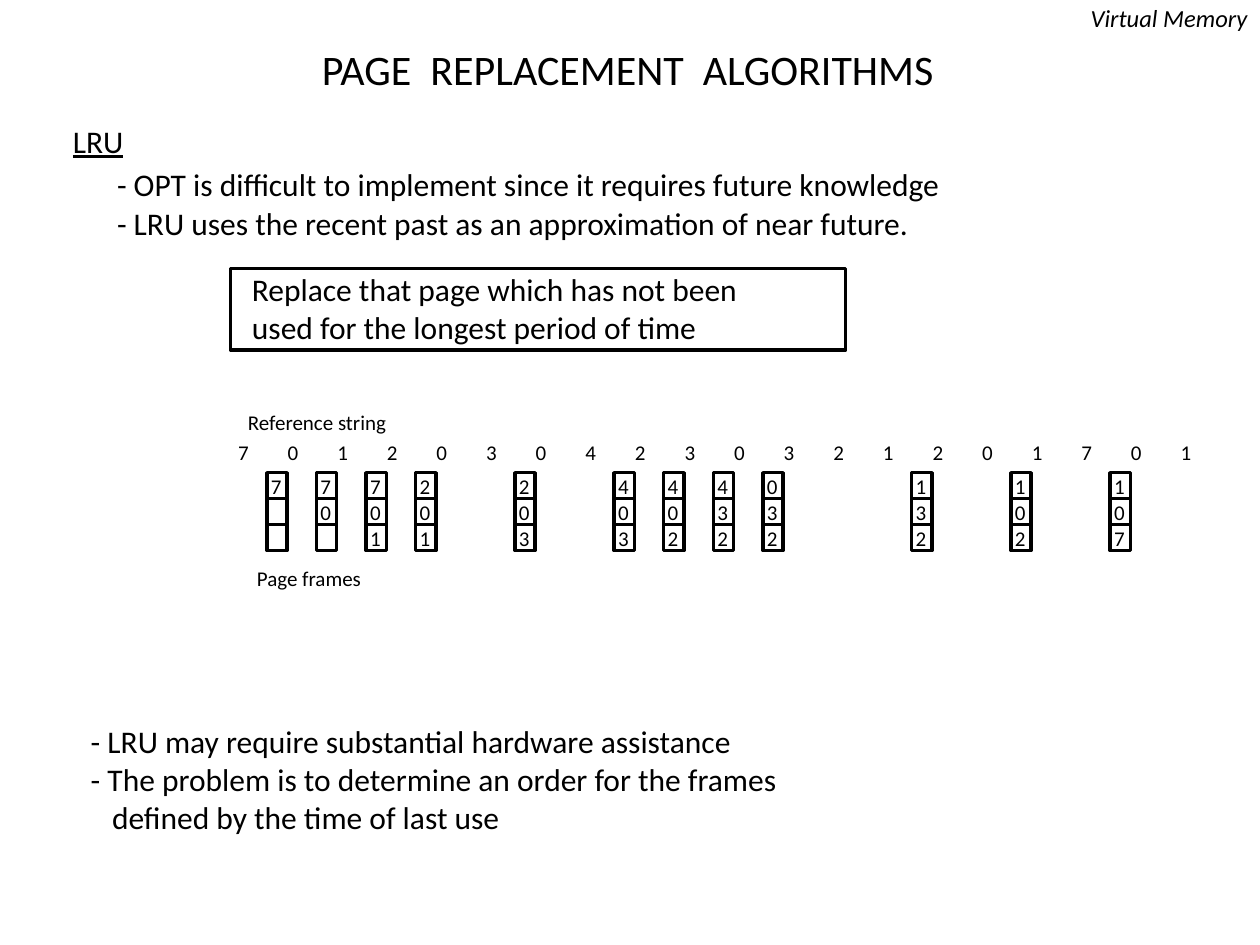
"""Builds a slide on LRU page replacement with its reference string and frames."""
from lxml import etree
from pptx import Presentation
from pptx.dml.color import RGBColor
from pptx.enum.shapes import MSO_CONNECTOR, MSO_SHAPE
from pptx.enum.text import MSO_ANCHOR, PP_ALIGN
from pptx.oxml.ns import qn
from pptx.util import Cm, Pt

RECT, STRAIGHT = MSO_SHAPE.RECTANGLE, MSO_CONNECTOR.STRAIGHT
LEFT, CENTER, RIGHT = PP_ALIGN.LEFT, PP_ALIGN.CENTER, PP_ALIGN.RIGHT
TOP, MIDDLE = MSO_ANCHOR.TOP, MSO_ANCHOR.MIDDLE

COLORS = {"ink": "000000", "paper": "FFFFFF"}
FONT = "Calibri"
INDENT = 0.43

TITLE = "PAGE  REPLACEMENT  ALGORITHMS"
MOTIVATION = [
    ("- OPT is difficult to implement since it requires future knowledge", INDENT),
    ("- LRU uses the recent past as an approximation of near future.", INDENT),
]
RULE = [
    ("Replace that page which has not been", 0),
    ("used for the longest period of time", 0),
]
COSTS = [
    ("- LRU may require substantial hardware assistance", 0),
    ("- The problem is to determine an order for the frames", 0),
    ("defined by the time of last use", INDENT),
]
REFERENCES = "70120304230321201701"
FRAMES = {0: "7", 1: "70", 2: "701", 3: "201", 5: "203", 7: "403", 8: "402",
          9: "432", 10: "032", 13: "132", 15: "102", 17: "107"}

PITCH = 1
REF_X, REF_Y = 4.55, 8.79
FRAME_X, FRAME_Y, FRAME_W, FRAME_H = 5.38, 9.53, 0.41, 1.57
ROW_H = FRAME_H / 3
DIGIT_W, DIGIT_H = 0.74, 0.71
DIGIT_DX, DIGIT_DY = -0.17, -0.05

prs = Presentation()
prs.slide_width, prs.slide_height = Cm(25.4), Cm(19.05)
s = prs.slides.add_slide(prs.slide_layouts[6])


def rgb(name):
    return RGBColor.from_string(COLORS[name])


def add_text(text, x, y, w, h, size=18, align=LEFT, anchor=TOP, spacing=0.9,
             inset=(0.25, 0.13), italic=False, underline=False):
    tf = s.shapes.add_textbox(Cm(x), Cm(y), Cm(w), Cm(h)).text_frame
    tf.word_wrap = True
    tf.vertical_anchor = anchor
    tf.margin_left = tf.margin_right = Cm(inset[0])
    tf.margin_top = tf.margin_bottom = Cm(inset[1])
    lines = [(text, 0)] if isinstance(text, str) else text
    for i, (line, indent) in enumerate(lines):
        p = tf.add_paragraph() if i else tf.paragraphs[0]
        p.alignment, p.line_spacing = align, spacing
        if indent:
            p._p.get_or_add_pPr().set("marL", str(Cm(indent)))
        r = p.add_run()
        r.text = line
        r.font.name, r.font.size = FONT, Pt(size)
        r.font.italic, r.font.underline = italic, underline
        r.font.color.rgb = rgb("ink")


def add_rect(x, y, w, h, fill=None):
    sp = s.shapes.add_shape(RECT, Cm(x), Cm(y), Cm(w), Cm(h))
    sp.shadow.inherit = False
    if fill:
        sp.fill.solid()
        sp.fill.fore_color.rgb = rgb(fill)
    else:
        sp.fill.background()
    sp.line.color.rgb, sp.line.width = rgb("ink"), Pt(2)


def add_divider(x, y, w):
    c = s.shapes.add_connector(STRAIGHT, Cm(x), Cm(y), Cm(x + w), Cm(y))
    c.line.color.rgb, c.line.width = rgb("ink"), Pt(2)
    etree.SubElement(c._element.spPr, qn("a:effectLst"))


def add_frame(step, pages):
    x = FRAME_X + step * PITCH
    add_rect(x, FRAME_Y, FRAME_W, FRAME_H, fill="paper")
    for row in (1, 2):
        add_divider(x, FRAME_Y + row * ROW_H, FRAME_W)
    for row, page in enumerate(pages):
        add_text(page, x + DIGIT_DX, FRAME_Y + DIGIT_DY + row * ROW_H,
                 DIGIT_W, DIGIT_H, size=12)


add_text(TITLE, 1.3, 0.71, 22.71, 1.35, size=24, align=CENTER, anchor=MIDDLE,
         spacing=1.0)
add_text("Virtual Memory", 21.34, 0, 4.06, 0.79, size=14, align=RIGHT, italic=True)
add_text("LRU", 1.22, 2.41, 1.8, 0.94, underline=True)
add_text(MOTIVATION, 1.75, 3.25, 20.35, 1.68, spacing=1.01, inset=(0.18, 0.08))
add_rect(4.65, 5.41, 12.4, 1.65)
add_text(RULE, 4.9, 5.36, 12.04, 1.68, spacing=1.01, inset=(0.18, 0.08))

add_text("Reference string", 4.75, 8.18, 3.84, 0.71, size=12)
for step, page in enumerate(REFERENCES):
    add_text(page, REF_X + step * PITCH, REF_Y, DIGIT_W, DIGIT_H, size=12)
for step, pages in FRAMES.items():
    add_frame(step, pages)
add_text("Page frames", 4.93, 11.33, 3.02, 0.71, size=12)

add_text(COSTS, 1.65, 14.48, 16.36, 3.1, spacing=1.0, inset=(0.18, 0.08))

prs.save("out.pptx")
